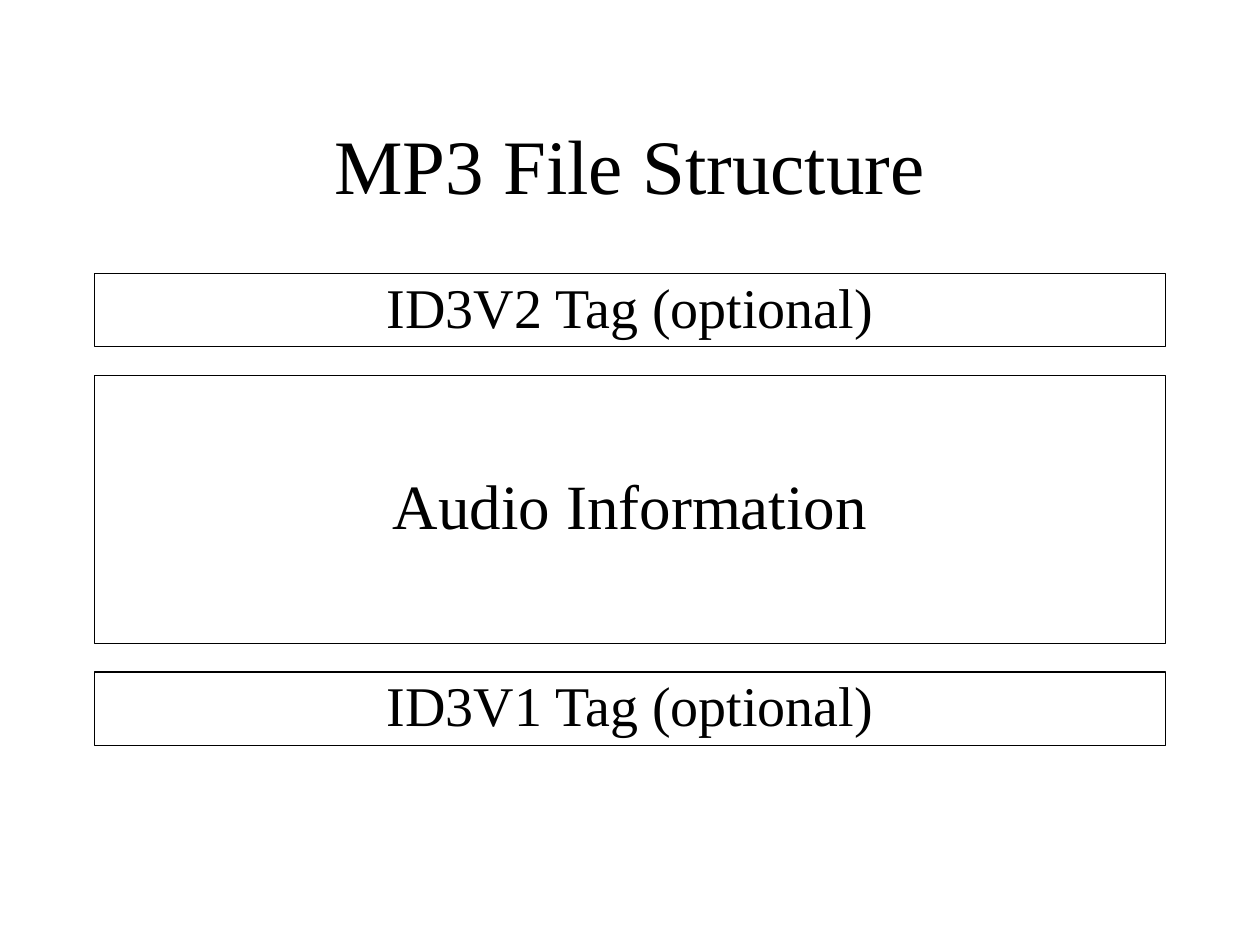
from lxml.etree import SubElement
from pptx import Presentation
from pptx.dml.color import RGBColor
from pptx.enum.shapes import MSO_SHAPE
from pptx.enum.text import MSO_ANCHOR, PP_ALIGN
from pptx.oxml.ns import qn
from pptx.util import Cm, Pt

# Content: label, height in cm, text size, anchor
TITLE = "MP3 File Structure"
SECTIONS = [
    ("ID3V2 Tag (optional)", 1.48, 32, MSO_ANCHOR.TOP),
    ("Audio Information", 5.4, 36, MSO_ANCHOR.MIDDLE),
    ("ID3V1 Tag (optional)", 1.48, 32, MSO_ANCHOR.TOP),
]
COLORS = {"ink": "000000"}
FONT = "Times New Roman"
LEFT, WIDTH = 1.9, 21.6
FIRST_TOP, GAP = 5.51, 0.58


def place(box, top, height):
    box.left, box.top = Cm(LEFT), Cm(top)
    box.width, box.height = Cm(WIDTH), Cm(height)


def write(box, text, size, anchor, line_spacing):
    frame = box.text_frame
    frame.text = text
    frame.word_wrap = True
    frame.vertical_anchor = anchor
    paragraph = frame.paragraphs[0]
    paragraph.alignment = PP_ALIGN.CENTER
    paragraph.line_spacing = line_spacing
    paragraph.space_before = Pt(0)
    # Centre on the full width, without a bullet
    properties = paragraph._p.get_or_add_pPr()
    properties.set("marL", "0")
    properties.set("indent", "0")
    SubElement(properties, qn("a:buNone"))
    font = paragraph.runs[0].font
    font.name, font.size = FONT, Pt(size)
    font.color.rgb = RGBColor.from_string(COLORS["ink"])


deck = Presentation()
deck.slide_width, deck.slide_height = Cm(25.4), Cm(19.05)
page = deck.slides.add_slide(deck.slide_layouts[1])

# Title
title = page.shapes.title
place(title, 1.7, 3.18)
write(title, TITLE, 44, MSO_ANCHOR.MIDDLE, 1.0)

# Stacked file sections: the first one is the body placeholder
top = FIRST_TOP
for index, (label, height, size, anchor) in enumerate(SECTIONS):
    if index == 0:
        box = page.placeholders[1]
    else:
        box = page.shapes.add_shape(MSO_SHAPE.RECTANGLE, 0, 0, 0, 0)
        box.shadow.inherit = False
    place(box, top, height)
    box.fill.background()
    box.line.color.rgb = RGBColor.from_string(COLORS["ink"])
    box.line.width = Pt(0.75)
    write(box, label, size, anchor, 0.9)
    top += height + GAP

deck.save("out.pptx")
